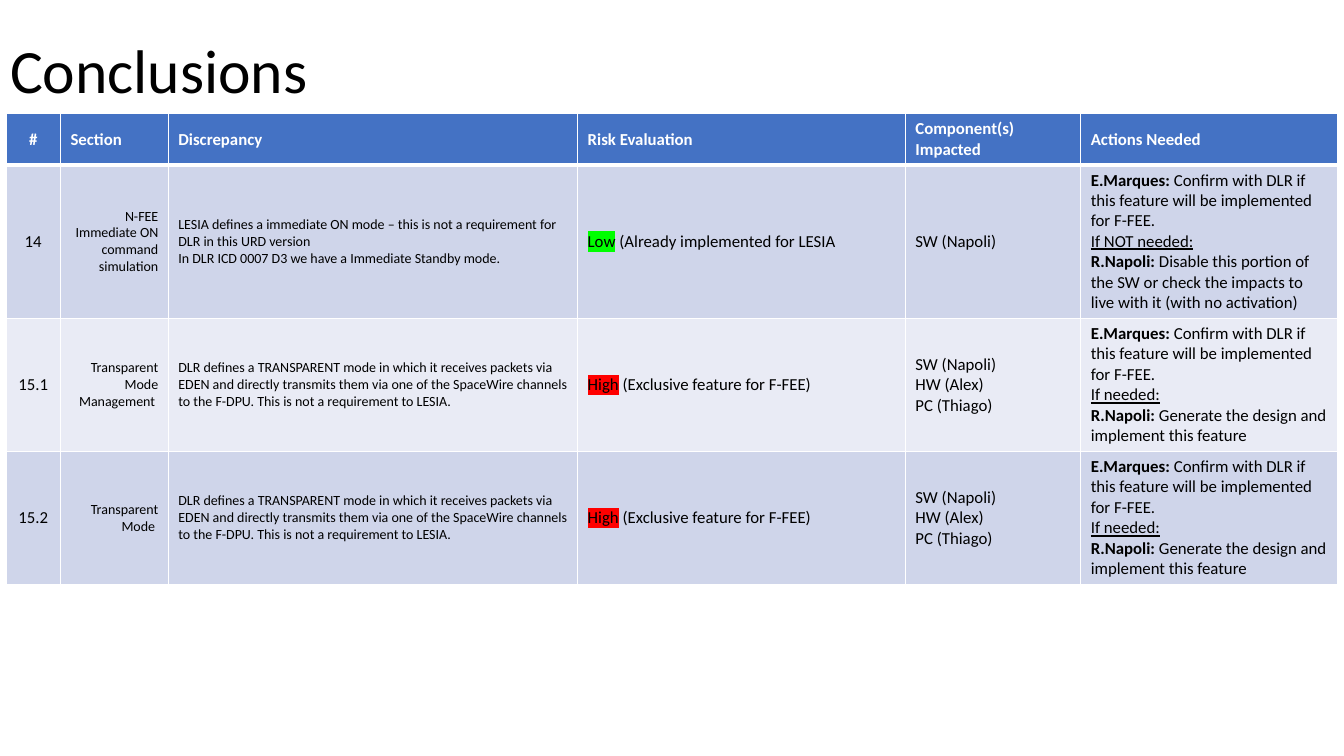
from dataclasses import dataclass

from pptx import Presentation
from pptx.dml.color import RGBColor
from pptx.enum.text import MSO_ANCHOR, MSO_AUTO_SIZE, PP_ALIGN as Align
from pptx.oxml import parse_xml
from pptx.oxml.ns import nsdecls
from pptx.slide import Slide
from pptx.table import _Cell as Cell
from pptx.text.text import TextFrame
from pptx.util import Emu, Pt

PX = 9144  # EMU per px, 100 px to the inch
FONT = "Calibri"
BLACK = RGBColor(0x00, 0x00, 0x00)
WHITE = RGBColor(0xFF, 0xFF, 0xFF)
HEADER_BLUE = RGBColor(0x44, 0x72, 0xC4)
BANDS = (RGBColor(0xCF, 0xD5, 0xEA), RGBColor(0xE9, 0xEB, 0xF5))
LOW_GREEN = RGBColor(0x00, 0xFF, 0x00)
HIGH_RED = RGBColor(0xFF, 0x00, 0x00)
TITLE_SIZE, TEXT_SIZE, SMALL_SIZE = 44, 12, 10
THIN, THICK = 1, 3  # border widths in points


@dataclass(frozen=True)
class Span:
    text: str
    bold: bool = False
    underline: bool = False
    highlight: RGBColor | None = None


Lines = list[list[Span]]


@dataclass(frozen=True)
class Column:
    heading: str
    width: int
    size: int = TEXT_SIZE
    align: Align = Align.LEFT
    heading_align: Align = Align.LEFT


@dataclass(frozen=True)
class Finding:
    number: str
    section: str
    discrepancy: list[str]
    risk: Span
    reason: str
    components: list[str]
    condition: str
    action: str
    height: int

    def cells(self) -> list[Lines]:
        """Contents of the row, one entry per column."""
        actions = [
            [Span("E.Marques: ", bold=True),
             Span("Confirm with DLR if this feature will be implemented for F-FEE.")],
            [Span(self.condition, underline=True)],
            [Span("R.Napoli: ", bold=True), Span(self.action)],
        ]
        return [plain([self.number]), plain([self.section]), plain(self.discrepancy),
                [[self.risk, Span(self.reason)]], plain(self.components), actions]


def plain(texts: list[str]) -> Lines:
    return [[Span(text)] for text in texts]


def transparent_mode(number: str, section: str) -> Finding:
    return Finding(
        number, section,
        ["DLR defines a TRANSPARENT mode in which it receives packets via EDEN and "
         "directly transmits them via one of the SpaceWire channels to the F-DPU. "
         "This is not a requirement to LESIA."],
        Span("High", highlight=HIGH_RED), " (Exclusive feature for F-FEE)",
        ["SW (Napoli)", "HW (Alex)", "PC (Thiago)"],
        "If needed:", "Generate the design and implement this feature", 132)


HEADER_HEIGHT = 50
COLUMNS = [
    Column("#", 54, align=Align.CENTER, heading_align=Align.CENTER),
    Column("Section", 107, SMALL_SIZE, Align.RIGHT),
    Column("Discrepancy", 406, SMALL_SIZE),
    Column("Risk Evaluation", 325),
    Column("Component(s) Impacted", 174),
    Column("Actions Needed", 255),
]
FINDINGS = [
    Finding(
        "14", "N-FEE Immediate ON command simulation",
        ["LESIA defines a immediate ON mode – this is not a requirement for DLR in this URD version",
         "In DLR ICD 0007 D3 we have a Immediate Standby mode."],
        Span("Low", highlight=LOW_GREEN), " (Already implemented for LESIA",
        ["SW (Napoli)"], "If NOT needed:",
        "Disable this portion of the SW or check the impacts to live with it (with no activation)",
        152),
    transparent_mode("15.1", "Transparent Mode Management "),
    transparent_mode("15.2", "Transparent Mode "),
]


def write_lines(frame: TextFrame, lines: Lines, size: int, color: RGBColor, align: Align) -> None:
    for index, spans in enumerate(lines):
        paragraph = frame.add_paragraph() if index else frame.paragraphs[0]
        paragraph.alignment = align
        for span in spans:
            run = paragraph.add_run()
            run.text = span.text
            font = run.font
            font.name, font.size = FONT, Pt(size)
            font.bold, font.underline = span.bold, span.underline
            font.color.rgb = color
            if span.highlight is not None:
                # The schema places the highlight directly after the text fill.
                run.font._element.find("{*}solidFill").addnext(parse_xml(
                    f'<a:highlight {nsdecls("a")}><a:srgbClr val="{span.highlight}"/></a:highlight>'))


def format_cell(cell: Cell, fill: RGBColor, top: int, bottom: int) -> None:
    """Set white borders of the given top and bottom widths, the fill and the anchor."""
    properties = cell._tc.get_or_add_tcPr()
    for side, width in (("L", THIN), ("R", THIN), ("T", top), ("B", bottom)):
        properties.append(parse_xml(
            f'<a:ln{side} {nsdecls("a")} w="{Pt(width)}"><a:solidFill>'
            f'<a:srgbClr val="{WHITE}"/></a:solidFill></a:ln{side}>'))
    cell.fill.solid()
    cell.fill.fore_color.rgb = fill
    cell.vertical_anchor = MSO_ANCHOR.MIDDLE


def add_title(slide: Slide, text: str) -> None:
    title = slide.shapes.title
    title.left, title.top, title.width, title.height = 0, 0, Emu(329 * PX), Emu(145 * PX)
    frame = title.text_frame
    frame.auto_size = MSO_AUTO_SIZE.NONE
    frame.vertical_anchor = MSO_ANCHOR.MIDDLE
    write_lines(frame, plain([text]), TITLE_SIZE, BLACK, Align.LEFT)
    frame.paragraphs[0].line_spacing = 0.9


def add_findings_table(slide: Slide) -> None:
    heights = [HEADER_HEIGHT] + [finding.height for finding in FINDINGS]
    width = sum(column.width for column in COLUMNS)
    table = slide.shapes.add_table(
        len(heights), len(COLUMNS), Emu(6 * PX), Emu(113 * PX),
        Emu(width * PX), Emu(sum(heights) * PX)).table
    for row, height in zip(table.rows, heights):
        row.height = Emu(height * PX)
    for index, column in enumerate(COLUMNS):
        table.columns[index].width = Emu(column.width * PX)
        heading = table.cell(0, index)
        format_cell(heading, HEADER_BLUE, THIN, THICK)
        write_lines(heading.text_frame, [[Span(column.heading, bold=True)]],
                    TEXT_SIZE, WHITE, column.heading_align)
    for row_index, finding in enumerate(FINDINGS, start=1):
        top = THICK if row_index == 1 else THIN
        for index, (column, lines) in enumerate(zip(COLUMNS, finding.cells())):
            cell = table.cell(row_index, index)
            format_cell(cell, BANDS[(row_index - 1) % len(BANDS)], top, THIN)
            write_lines(cell.text_frame, lines, column.size, BLACK, column.align)


def main() -> None:
    presentation = Presentation()
    presentation.slide_width, presentation.slide_height = Emu(1333 * PX), Emu(750 * PX)
    title_only = presentation.slide_layouts[5]
    slide = presentation.slides.add_slide(title_only)
    add_title(slide, "Conclusions")
    add_findings_table(slide)
    presentation.save("out.pptx")


if __name__ == "__main__":
    main()
